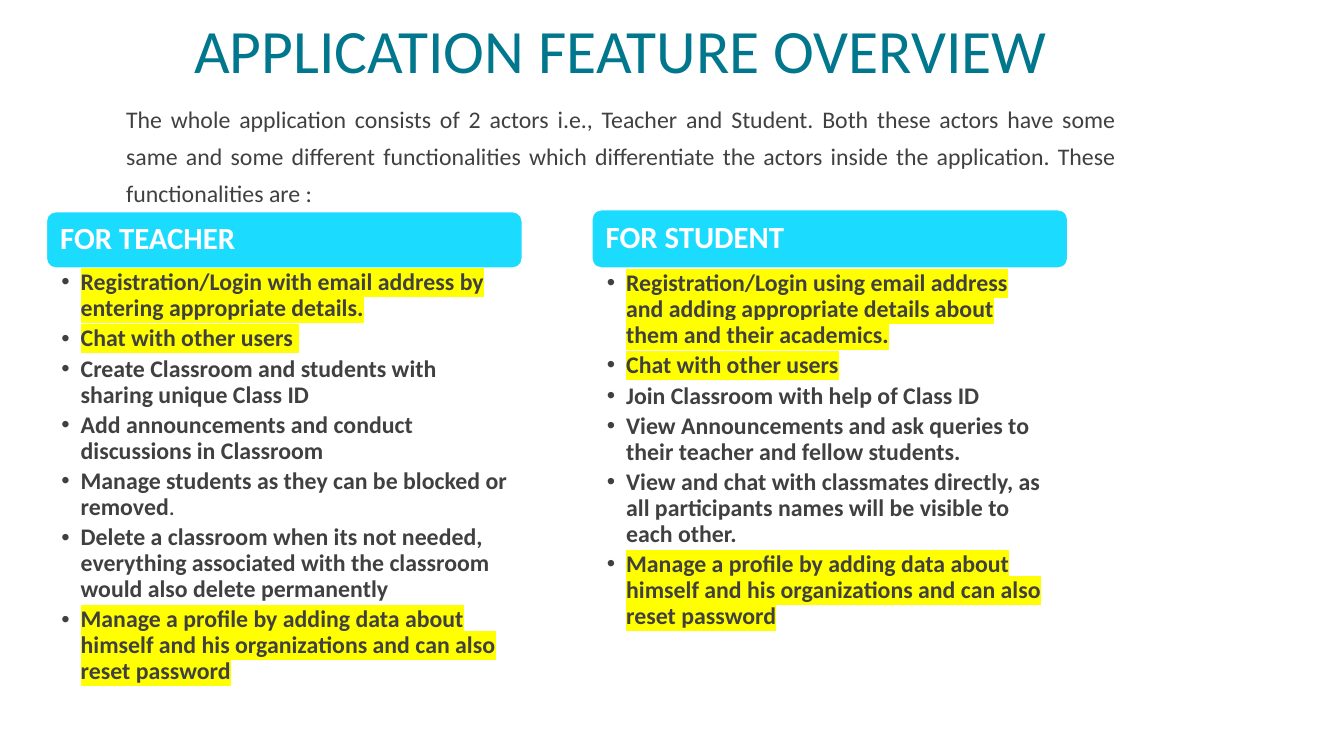
from lxml.etree import SubElement
from pptx import Presentation
from pptx.dml.color import RGBColor
from pptx.enum.shapes import MSO_SHAPE
from pptx.enum.text import MSO_ANCHOR, MSO_AUTO_SIZE, PP_ALIGN
from pptx.oxml.ns import qn
from pptx.util import Inches, Pt

FONT = "Calibri"
TEAL, CYAN, GREY, WHITE, YELLOW = "00778D", "1BDCFF", "404040", "FFFFFF", "FFFF00"
COLUMN_WIDTH = 4.72
LISTS_TOP = 2.66

INTRO = (
    "The whole application consists of 2 actors i.e., Teacher and Student. "
    "Both these actors have some same and some different functionalities which "
    "differentiate the actors inside the application. These functionalities are :"
)
PROFILE = (
    "Manage a profile by adding data about himself and his organizations "
    "and can also reset password"
)

# Each feature: text, highlighted
TEACHER_FEATURES = [
    ("Registration/Login with email address by entering appropriate details.", True),
    ("Chat with other users ", True),
    ("Create Classroom and students with sharing unique Class ID", False),
    ("Add announcements and conduct discussions in Classroom", False),
    ("Manage students as they can be blocked or removed.", False),
    ("Delete a classroom when its not needed, everything associated with "
     "the classroom would also delete permanently", False),
    (PROFILE, True),
]
STUDENT_FEATURES = [
    ("Registration/Login using email address and adding appropriate details "
     "about them and their academics.", True),
    ("Chat with other users", True),
    ("Join Classroom with help of Class ID", False),
    ("View Announcements and ask queries to their teacher and fellow students.", False),
    ("View and chat with classmates directly, as all participants names "
     "will be visible to each other.", False),
    (PROFILE, True),
]


def color(hex_string):
    return RGBColor.from_string(hex_string)


def place(shape, left, top, width, height):
    shape.left, shape.top = Inches(left), Inches(top)
    shape.width, shape.height = Inches(width), Inches(height)


def set_insets(frame, left, top, right, bottom):
    frame.margin_left, frame.margin_top = Inches(left), Inches(top)
    frame.margin_right, frame.margin_bottom = Inches(right), Inches(bottom)


def add_run(paragraph, text, size, hex_color, bold=False, highlight=None):
    run = paragraph.add_run()
    run.text = text
    run.font.size = Pt(size)
    run.font.bold = bold
    run.font.color.rgb = color(hex_color)
    if highlight:
        marker = SubElement(run.font._element, qn("a:highlight"))
        SubElement(marker, qn("a:srgbClr"), val=highlight)
    run.font.name = FONT


def set_bullet(paragraph, character, indent):
    """Give the paragraph a hanging bullet, or none if character is empty."""
    properties = paragraph._p.get_or_add_pPr()
    properties.set("marL", str(Inches(indent)))
    properties.set("indent", str(-Inches(indent)))
    if character:
        SubElement(properties, qn("a:buFont"), typeface="Arial")
        SubElement(properties, qn("a:buChar"), char=character)
    else:
        SubElement(properties, qn("a:buNone"))


def fill_title(title, left, top, width, height):
    place(title, left, top, width, height)
    frame = title.text_frame
    frame.auto_size = MSO_AUTO_SIZE.NONE
    frame.vertical_anchor = MSO_ANCHOR.BOTTOM
    paragraph = frame.paragraphs[0]
    paragraph.alignment = PP_ALIGN.CENTER
    paragraph.line_spacing = 0.85
    add_run(paragraph, "APPLICATION FEATURE OVERVIEW", 44, TEAL)


def fill_intro(body, left, top, width, height):
    place(body, left, top, width, height)
    frame = body.text_frame
    frame.auto_size = MSO_AUTO_SIZE.NONE
    paragraph = frame.paragraphs[0]
    set_bullet(paragraph, "", 0)
    paragraph.alignment = PP_ALIGN.JUSTIFY
    paragraph.line_spacing = 1.3
    paragraph.space_before = Pt(0)
    paragraph.space_after = Pt(8)
    add_run(paragraph, INTRO, 17, GREY)


def add_header(slide, text, left, top, width, height):
    header = slide.shapes.add_shape(
        MSO_SHAPE.ROUNDED_RECTANGLE,
        Inches(left), Inches(top), Inches(width), Inches(height))
    header.shadow.inherit = False
    header.fill.solid()
    header.fill.fore_color.rgb = color(CYAN)
    header.line.color.rgb = color(WHITE)
    header.line.width = Pt(1)
    frame = header.text_frame
    frame.word_wrap = True
    frame.vertical_anchor = MSO_ANCHOR.MIDDLE
    set_insets(frame, 0.11, 0.09, 0.11, 0.09)
    paragraph = frame.paragraphs[0]
    paragraph.alignment = PP_ALIGN.LEFT
    paragraph.line_spacing = 0.9
    add_run(paragraph, text, 22, WHITE, bold=True)


def add_features(slide, features, left, top, width, height, inset_y, inset_right):
    box = slide.shapes.add_textbox(
        Inches(left), Inches(top), Inches(width), Inches(height))
    frame = box.text_frame
    frame.word_wrap = True
    set_insets(frame, 0.15, inset_y, inset_right, inset_y)
    for index, (text, highlighted) in enumerate(features):
        paragraph = frame.add_paragraph() if index else frame.paragraphs[0]
        paragraph.level = 1
        set_bullet(paragraph, "•", 0.19)
        paragraph.line_spacing = 0.9
        paragraph.space_after = Pt(3.4)
        highlight = YELLOW if highlighted else None
        if text.endswith("removed."):
            add_run(paragraph, text[:-1], 17, GREY, bold=True)
            add_run(paragraph, ".", 17, GREY)
        else:
            add_run(paragraph, text, 17, GREY, bold=True, highlight=highlight)


def add_actor_column(slide, heading, features, left, header_height,
                     list_height, inset_y, inset_right):
    """Place a heading that ends at LISTS_TOP, with its feature list below."""
    add_header(slide, heading, left, LISTS_TOP - header_height,
               COLUMN_WIDTH, header_height)
    add_features(slide, features, left, LISTS_TOP, COLUMN_WIDTH,
                 list_height, inset_y, inset_right)


def main():
    presentation = Presentation()
    presentation.slide_width = Inches(13.33)
    presentation.slide_height = Inches(7.5)
    slide = presentation.slides.add_slide(presentation.slide_layouts[1])
    fill_title(slide.shapes.title, 1.15, 0, 10.02, 0.9)
    fill_intro(slide.placeholders[1], 1.15, 0.9, 10.02, 1.2)
    add_actor_column(slide, "FOR TEACHER", TEACHER_FEATURES,
                     0.46, 0.56, 5.28, 0.02, 0.13)
    add_actor_column(slide, "FOR STUDENT", STUDENT_FEATURES,
                     5.87, 0.58, 3.79, 0.03, 0.17)
    presentation.save("out.pptx")


if __name__ == "__main__":
    main()
